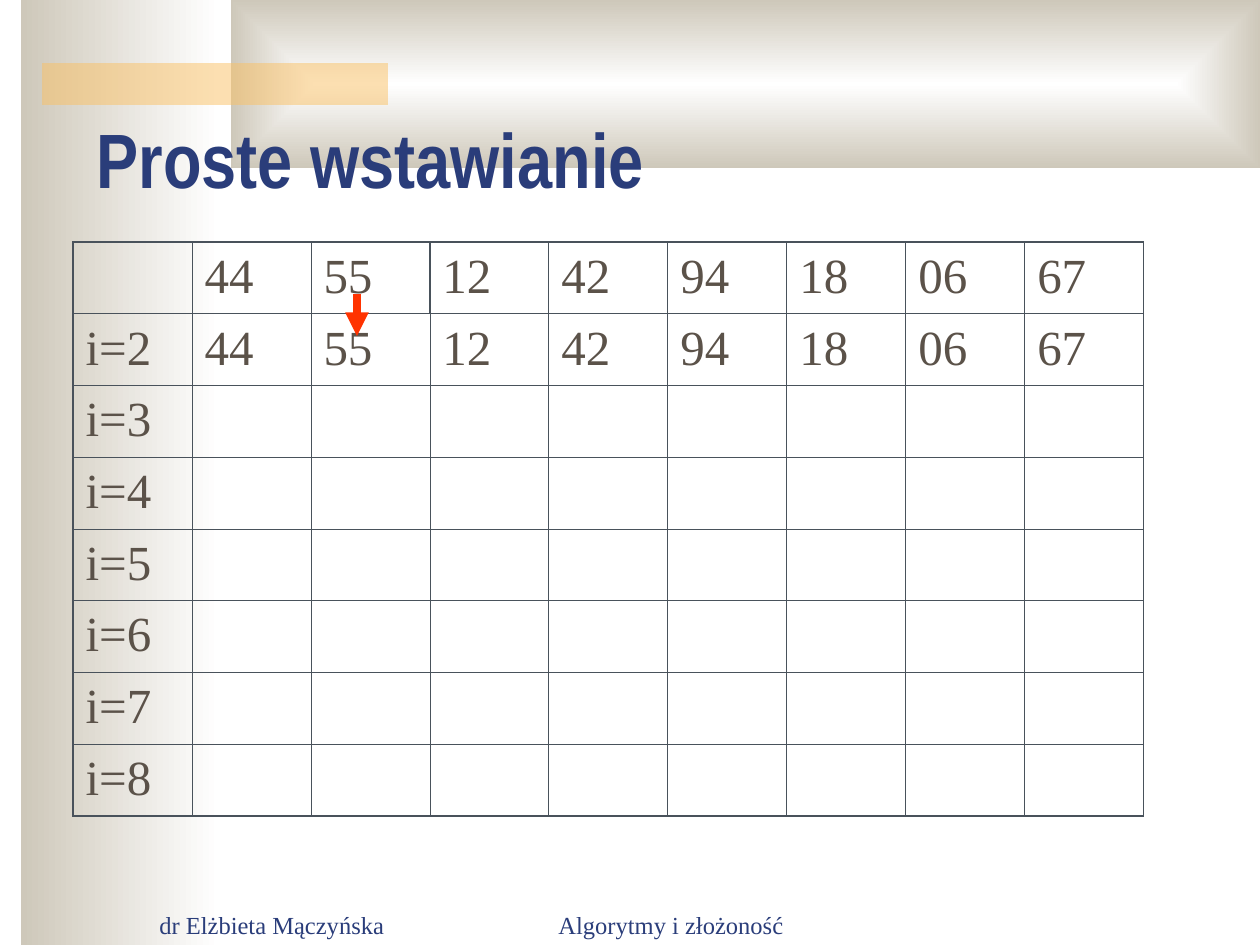
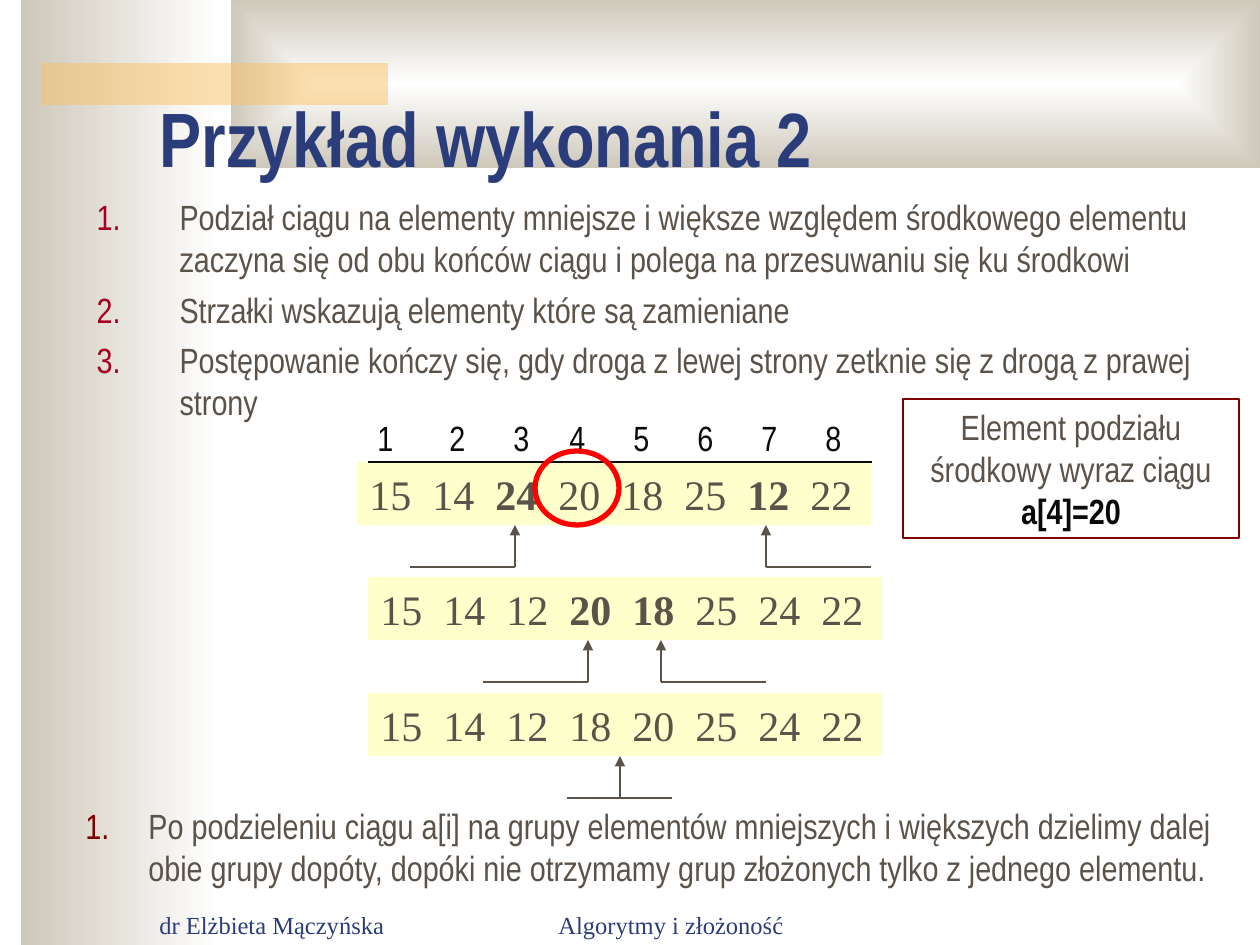
from lxml.etree import SubElement
from pptx import Presentation
from pptx.dml.color import RGBColor
from pptx.enum.shapes import MSO_CONNECTOR as Connector, MSO_SHAPE as Preset
from pptx.enum.text import MSO_ANCHOR as Anchor, MSO_AUTO_SIZE as AutoSize, PP_ALIGN as Align
from pptx.oxml.ns import qn
from pptx.util import Emu, Pt

NAVY, BROWN, INK = "2A3D7A", "5B5249", "0B0A09"
WHITE, BEIGE, AMBER, CREAM = "FFFFFF", "CEC8BA", "FAC164", "FFFFCC"
GRID, ORANGE, RED, MAROON, CRIMSON = "49525B", "FF3300", "FF0000", "800000", "A50021"
SERIF, NARROW = "Times New Roman", "Arial Narrow"
THIN, OUTER, THICK = 0.45, 1.08, 1.47


def px(length):
    return Emu(round(length * 914400 / 126))


def box_emu(box):
    return [px(length) for length in box]


def rgb(color):
    return RGBColor.from_string(color)


def style(paragraph, size, name, color, bold=None):
    font = paragraph.font
    font.size, font.name, font.bold = Pt(size), name, bold
    font.color.rgb = rgb(color)


def add_box(slide, box, preset=Preset.RECTANGLE, fill=None, line=None, weight=0.75):
    shape = slide.shapes.add_shape(preset, *box_emu(box))
    shape.shadow.inherit = False
    if fill:
        shape.fill.solid()
        shape.fill.fore_color.rgb = rgb(fill)
    else:
        shape.fill.background()
    if line:
        shape.line.color.rgb = rgb(line)
        shape.line.width = Pt(weight)
    else:
        shape.line.fill.background()
    return shape


def add_textbox(slide, box, anchor=Anchor.TOP):
    frame = slide.shapes.add_textbox(*box_emu(box)).text_frame
    frame.word_wrap = True
    frame.vertical_anchor = anchor
    return frame.paragraphs[0]


def add_line(slide, start, end, color, weight=0.75, arrow=False):
    connector = slide.shapes.add_connector(Connector.STRAIGHT, *box_emu(start + end))
    connector.line.color.rgb = rgb(color)
    connector.line.width = Pt(weight)
    if arrow:
        SubElement(connector.line._get_or_add_ln(), qn("a:tailEnd"), type="triangle")
    SubElement(connector._element.spPr, qn("a:effectLst"))


def set_gradient(shape):
    shape.fill.gradient()
    shape.fill.gradient_angle = 180
    for stop, color in zip(shape.fill.gradient_stops, (WHITE, BEIGE)):
        stop.color.rgb = rgb(color)


def number_paragraph(paragraph, indent, color):
    properties = paragraph._p.get_or_add_pPr()
    properties.set("marL", str(px(indent)))
    properties.set("indent", str(-px(indent)))
    SubElement(SubElement(properties, qn("a:buClr")), qn("a:srgbClr"), val=color)
    SubElement(properties, qn("a:buAutoNum"), type="arabicPeriod")


def set_tabs(paragraph, positions):
    tabs = SubElement(paragraph._p.get_or_add_pPr(), qn("a:tabLst"))
    for position in positions:
        SubElement(tabs, qn("a:tab"), pos=str(px(position)), algn="l")


def decorate_master(master, slide):
    side_band = add_box(slide, (21, 0, 199, 945))
    set_gradient(side_band)

    top_band = add_box(slide, (231, 0, 1029, 168))
    set_gradient(top_band)
    gradient = top_band._element.spPr.find(qn("a:gradFill"))
    gradient.remove(gradient.find(qn("a:lin")))
    center = SubElement(gradient, qn("a:path"), path="rect")
    SubElement(center, qn("a:fillToRect"), l="50000", t="50000", r="50000", b="50000")

    accent_bar = add_box(slide, (42, 63, 346, 42), fill=AMBER)
    color = accent_bar._element.spPr.find(qn("a:solidFill"))[0]
    SubElement(color, qn("a:alpha"), val="50000")

    for index, band in enumerate((side_band, top_band, accent_bar), 2):
        master.shapes._spTree.insert(index, band._element)


def place_placeholder(placeholder, box, anchor):
    placeholder.left, placeholder.top, placeholder.width, placeholder.height = box_emu(box)
    placeholder.text_frame.auto_size = AutoSize.NONE
    placeholder.text_frame.vertical_anchor = anchor
    return placeholder.text_frame


def add_title(slide, text, box):
    frame = place_placeholder(slide.shapes.title, box, Anchor.BOTTOM)
    frame.text = text
    paragraph = frame.paragraphs[0]
    paragraph.alignment = Align.LEFT
    style(paragraph, 44, NARROW, NAVY, True)


def add_footers(slide):
    footers = (("dr Elżbieta Mączyńska", 147, 262, Align.LEFT),
               ("Algorytmy i złożoność", 472, 398, Align.CENTER))
    for text, left, width, alignment in footers:
        paragraph = add_textbox(slide, (left, 883, width, 63), Anchor.BOTTOM)
        paragraph.text = text
        paragraph.alignment = alignment
        style(paragraph, 14, SERIF, NAVY)


def set_borders(cell, weights):
    properties = cell._tc.get_or_add_tcPr()
    for side, weight in zip("LRTB", weights):
        border = SubElement(properties, qn(f"a:ln{side}"), w=str(Pt(weight)))
        SubElement(SubElement(border, qn("a:solidFill")), qn("a:srgbClr"), val=GRID)


def add_sort_table(slide, box):
    values = ["44", "55", "12", "42", "94", "18", "06", "67"]
    rows = [[""] + values, ["i=2"] + values] + [[f"i={step}"] for step in range(3, 9)]
    last_row, last_column = len(rows) - 1, len(values)
    table = slide.shapes.add_table(len(rows), len(values) + 1, *box_emu(box)).table
    table.first_row = table.horz_banding = False
    for row, texts in enumerate(rows):
        for column in range(last_column + 1):
            cell = table.cell(row, column)
            weights = [OUTER if at_edge else THIN for at_edge in
                       (column == 0, column == last_column, row == 0, row == last_row)]
            if row == 0 and column in (2, 3):
                weights[1 if column == 2 else 0] = THICK
            set_borders(cell, weights)
            cell.fill.background()
            cell.vertical_anchor = Anchor.MIDDLE
            if column < len(texts) and texts[column]:
                cell.text = texts[column]
                paragraph = cell.text_frame.paragraphs[0]
                paragraph.line_spacing = 0.95
                paragraph.space_before = Pt(7)
                style(paragraph, 28, SERIF, BROWN)
    left, top = box[:2]
    add_line(slide, (left + 284, top + 52), (left + 284, top + 94), ORANGE, 4.5, True)


def add_rules(slide, box):
    rules = ("Podział ciągu na elementy mniejsze i większe względem środkowego elementu "
             "zaczyna się od obu końców ciągu i polega na przesuwaniu się ku środkowi",
             "Strzałki wskazują elementy które są zamieniane",
             "Postępowanie kończy się, gdy droga z lewej strony zetknie się z drogą z prawej strony")
    frame = place_placeholder(slide.placeholders[1], box, Anchor.TOP)
    frame.text = "\n".join(rules)
    for paragraph in frame.paragraphs:
        number_paragraph(paragraph, 83, CRIMSON)
        paragraph.space_before = Pt(5)
        style(paragraph, 20, NARROW, BROWN)


def add_pivot_note(slide, box):
    frame = add_box(slide, box, line=MAROON).text_frame
    frame.word_wrap = True
    frame.vertical_anchor = Anchor.TOP
    paragraph = frame.paragraphs[0]
    paragraph.alignment = Align.CENTER
    style(paragraph, 20, NARROW, BROWN)
    paragraph.add_run().text = "Element podziału środkowy wyraz ciągu "
    pivot = paragraph.add_run()
    pivot.text = "a[4]=20"
    pivot.font.bold = True
    pivot.font.color.rgb = rgb(INK)


def add_index_labels(slide, box):
    paragraph = add_textbox(slide, box)
    set_tabs(paragraph, (8, 80, 144, 200, 264, 328, 392, 456))
    paragraph.text = "".join(f"\t{index}" for index in range(1, 9))
    style(paragraph, 20, NARROW, INK)


def add_sequence(slide, box, numbers, bold_numbers, arrows):
    left, top, width, height = box
    frame = add_box(slide, box, fill=CREAM).text_frame
    frame.vertical_anchor = Anchor.TOP
    paragraph = frame.paragraphs[0]
    paragraph.alignment = Align.LEFT
    set_tabs(paragraph, [63 * step for step in range(1, len(numbers))])
    style(paragraph, 24, SERIF, BROWN)
    for position, number in enumerate(numbers):
        run = paragraph.add_run()
        run.text = f"\t{number}" if position else str(number)
        run.font.bold = number in bold_numbers
    bottom = top + height
    foot = bottom + 42
    for tip, foot_start in arrows:
        add_line(slide, (left + tip, foot), (left + tip, bottom), BROWN, arrow=True)
        add_line(slide, (left + foot_start, foot), (left + foot_start + 105, foot), BROWN)


def add_partition_steps(slide, box):
    left, top = box[:2]
    add_index_labels(slide, (left, top, 535, 55))
    steps = ((0, (15, 14, 24, 20, 18, 25, 12, 22), (24, 12), ((158, 53), (409, 409))),
             (11, (15, 14, 12, 20, 18, 25, 24, 22), (20, 18), ((220, 115), (293, 293))),
             (11, (15, 14, 12, 18, 20, 25, 24, 22), (), ((252, 199),)))
    for index, (shift, numbers, bold_numbers, arrows) in enumerate(steps):
        row_top = top + 52 + index * 231 // 2
        add_sequence(slide, (left + shift, row_top, 514, 63), numbers, bold_numbers, arrows)
    add_line(slide, (left + 11, top + 52), (left + 515, top + 52), INK)
    add_box(slide, (left + 178, top + 41, 84, 74), Preset.OVAL, line=RED, weight=3)


def add_conclusion(slide, box):
    paragraph = add_textbox(slide, box)
    paragraph.text = ("Po podzieleniu ciągu a[i] na grupy elementów mniejszych i większych dzielimy dalej "
                      "obie grupy dopóty, dopóki nie otrzymamy grup złożonych tylko z jednego elementu.")
    number_paragraph(paragraph, 63, MAROON)
    style(paragraph, 20, NARROW, BROWN)


def build_insertion_slide(slide):
    add_footers(slide)
    add_title(slide, "Proste wstawianie", (84, 84, 1071, 126))
    add_sort_table(slide, (73, 242, 1071, 574))


def build_partition_slide(slide):
    add_footers(slide)
    add_title(slide, "Przykład wykonania 2", (147, 83, 1071, 106))
    add_rules(slide, (84, 189, 1134, 262))
    add_pivot_note(slide, (903, 399, 336, 139))
    add_partition_steps(slide, (357, 410, 535, 388))
    add_conclusion(slide, (73, 798, 1166, 97))


def main():
    presentation = Presentation()
    presentation.slide_width, presentation.slide_height = px(1260), px(945)
    layouts = presentation.slide_layouts
    insertion_slide = presentation.slides.add_slide(layouts.get_by_name("Title Only"))
    partition_slide = presentation.slides.add_slide(layouts.get_by_name("Title and Content"))
    decorate_master(presentation.slide_master, insertion_slide)
    build_insertion_slide(insertion_slide)
    build_partition_slide(partition_slide)
    presentation.save("out.pptx")


if __name__ == "__main__":
    main()
